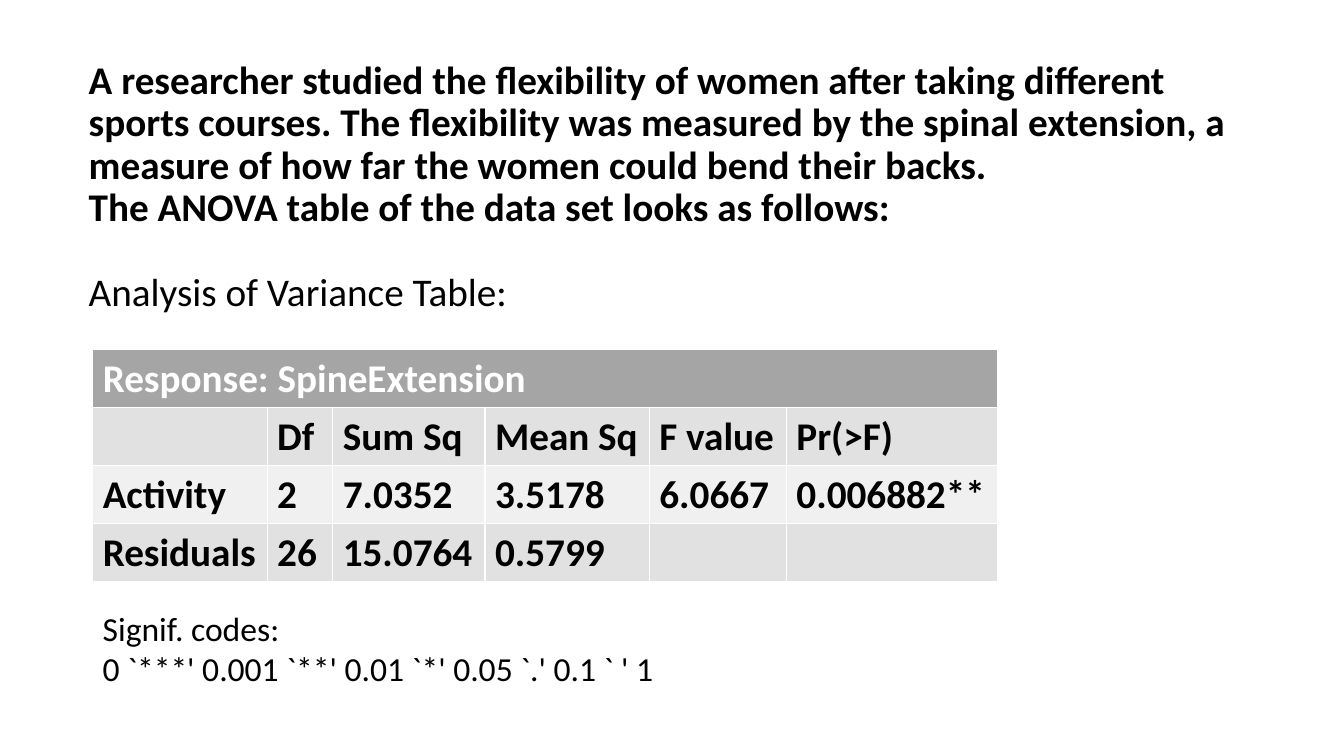
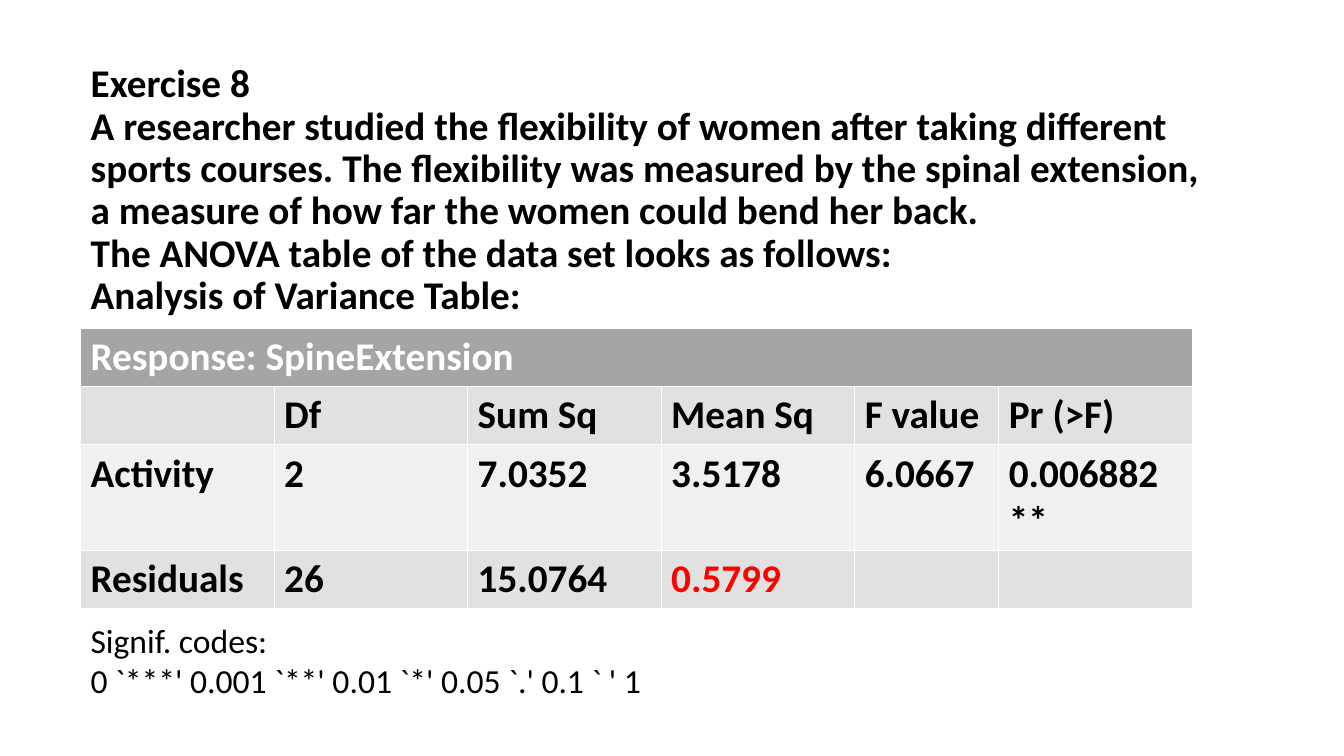
from dataclasses import dataclass

from pptx import Presentation
from pptx import util as u
from pptx.dml import color
from pptx.enum import text


@dataclass(frozen=True)
class Theme:
    font: str = "Calibri"
    body_size: int = 28
    note_size: int = 24
    title_spacing: float = 0.9
    blank_line: float = 30.75
    ink: str = "000000"
    light: str = "FFFFFF"
    highlight: str = "FF0000"
    header_fill: str = "A5A5A5"
    band_fills: tuple = ("E1E1E1", "F0F0F0")


THEME = Theme()
SLIDE_WIDTH, SLIDE_HEIGHT = u.Inches(13.33), u.Inches(7.5)
TITLE_HEIGHT = 42.27
ROW_HEIGHT = 7.6

STUDY = (
    "A researcher studied the flexibility of women after taking different sports courses. "
    "The flexibility was measured by the spinal extension, a measure of how far the women could bend "
)
TABLE_INTRO = "The ANOVA table of the data set looks as follows:"
TABLE_NAME = "Analysis of Variance Table:"
RESPONSE = "Response: SpineExtension"
SIGNIF_CODES = ("Signif. codes:", "0 `***' 0.001 `**' 0.01 `*' 0.05 `.' 0.1 ` ' 1")


def across(percent):
    return round(SLIDE_WIDTH * percent / 100)


def down(percent):
    return round(SLIDE_HEIGHT * percent / 100)


def style(paragraph, size, ink=THEME.ink, bold=False):
    font = paragraph.font
    font.name, font.size, font.bold = THEME.font, u.Pt(size), bold
    font.color.rgb = color.RGBColor.from_string(ink)


def fill_lines(frame, lines, size, bold=False):
    frame.word_wrap = True
    frame.text = "\n".join(lines)
    for paragraph in frame.paragraphs:
        paragraph.alignment = text.PP_ALIGN.LEFT
        style(paragraph, size, bold=bold)


def add_question(slide, left, top, width, lines):
    question = slide.shapes.title
    question.left, question.top = across(left), down(top)
    question.width, question.height = across(width), down(TITLE_HEIGHT)
    frame = question.text_frame
    frame.auto_size = text.MSO_AUTO_SIZE.NONE
    frame.vertical_anchor = text.MSO_ANCHOR.MIDDLE
    fill_lines(frame, lines, THEME.body_size, bold=True)
    for paragraph in frame.paragraphs:
        paragraph.line_spacing = THEME.title_spacing
    return frame.paragraphs


def fill_cell(cell, value, fill, ink=THEME.ink):
    cell.fill.solid()
    cell.fill.fore_color.rgb = color.RGBColor.from_string(fill)
    cell.text = value
    style(cell.text_frame.paragraphs[0], THEME.body_size, ink, bold=True)


def anova_rows(probability_label, probability):
    return (
        ("", "Df", "Sum Sq", "Mean Sq", "F value", probability_label),
        ("Activity", "2", "7.0352", "3.5178", "6.0667", probability),
        ("Residuals", "26", "15.0764", "0.5799", "", ""),
    )


def add_anova(slide, left, top, widths, rows, highlighted=None):
    row_count = len(rows) + 1
    anova = slide.shapes.add_table(
        row_count, len(widths), across(left), down(top),
        across(sum(widths)), down(ROW_HEIGHT * row_count),
    ).table
    for column, width in zip(anova.columns, widths):
        column.width = across(width)
    anova.cell(0, 0).merge(anova.cell(0, len(widths) - 1))
    fill_cell(anova.cell(0, 0), RESPONSE, THEME.header_fill, THEME.light)
    for r, values in enumerate(rows, start=1):
        band = THEME.band_fills[(r - 1) % 2]
        for c, value in enumerate(values):
            ink = THEME.highlight if value == highlighted else THEME.ink
            fill_cell(anova.cell(r, c), value, band, ink)


def add_signif_codes(slide, left, top):
    codes = slide.shapes.add_textbox(across(left), down(top), across(76.44), down(12.13))
    fill_lines(codes.text_frame, SIGNIF_CODES, THEME.note_size)


def add_anova_slide(deck):
    slide = deck.slides.add_slide(deck.slide_layouts[5])
    lines = (STUDY + "their backs.", TABLE_INTRO, TABLE_NAME)
    table_name = add_question(slide, 5.85, 3.73, 87.3, lines)[-1]
    table_name.font.bold = False
    table_name.space_before = u.Pt(THEME.blank_line)
    widths = (12.98, 4.88, 11.33, 12.23, 10.2, 15.75)
    add_anova(slide, 6.9, 46.27, widths, anova_rows("Pr(>F)", "0.006882**"))
    add_signif_codes(slide, 6.9, 79.73)


def add_exercise_slide(deck):
    slide = deck.slides.add_slide(deck.slide_layouts[5])
    lines = ("Exercise 8", STUDY + "her back.", TABLE_INTRO, TABLE_NAME)
    add_question(slide, 6, 4.13, 85.37, lines)
    widths = (14.4,) * 4 + (10.73, 14.4)
    add_anova(slide, 6, 43.47, widths, anova_rows("Pr (>F)", "0.006882 **"), "0.5799")
    add_signif_codes(slide, 6, 81.33)


def main():
    deck = Presentation()
    deck.slide_width, deck.slide_height = SLIDE_WIDTH, SLIDE_HEIGHT
    add_anova_slide(deck)
    add_exercise_slide(deck)
    deck.save("out.pptx")


if __name__ == "__main__":
    main()
